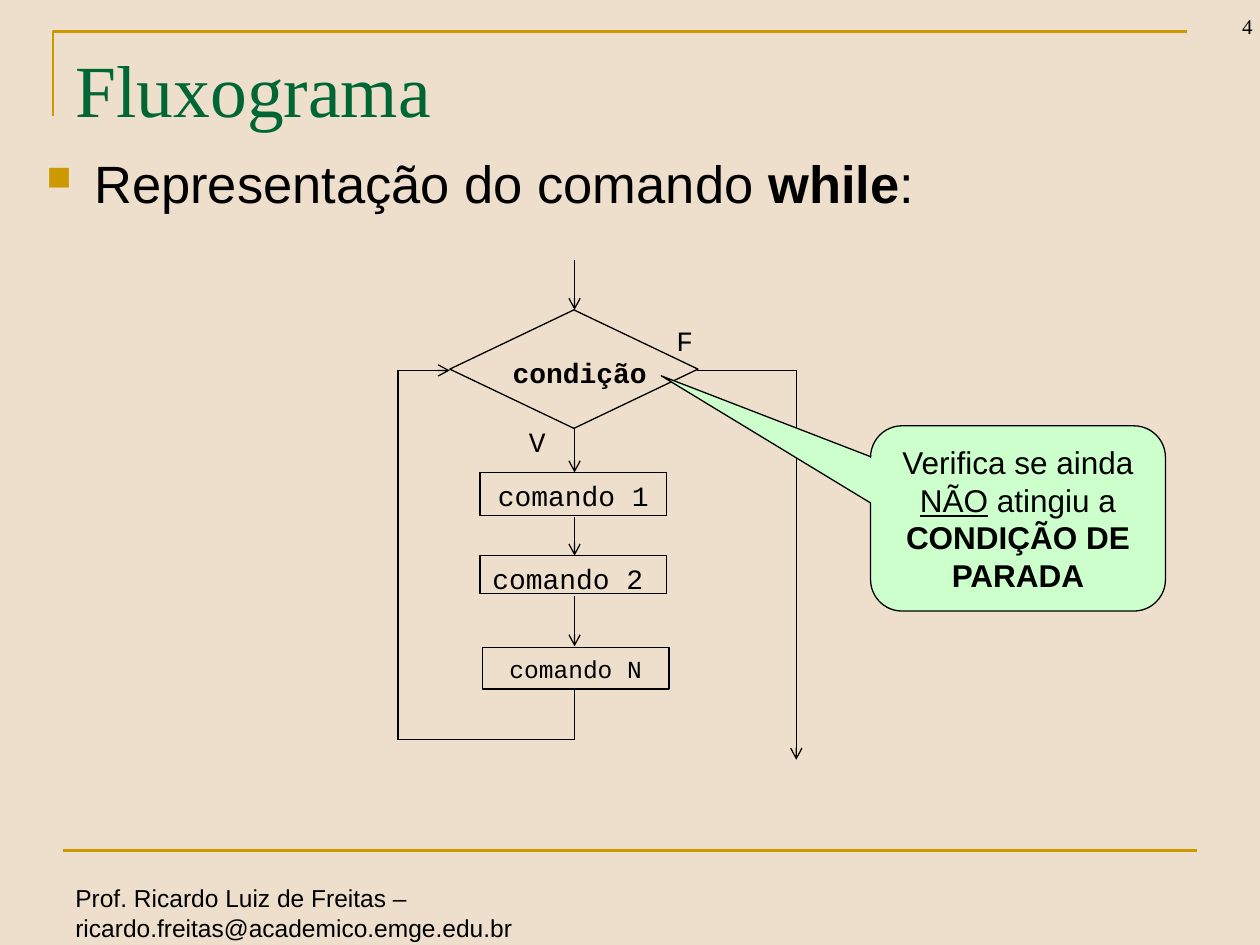
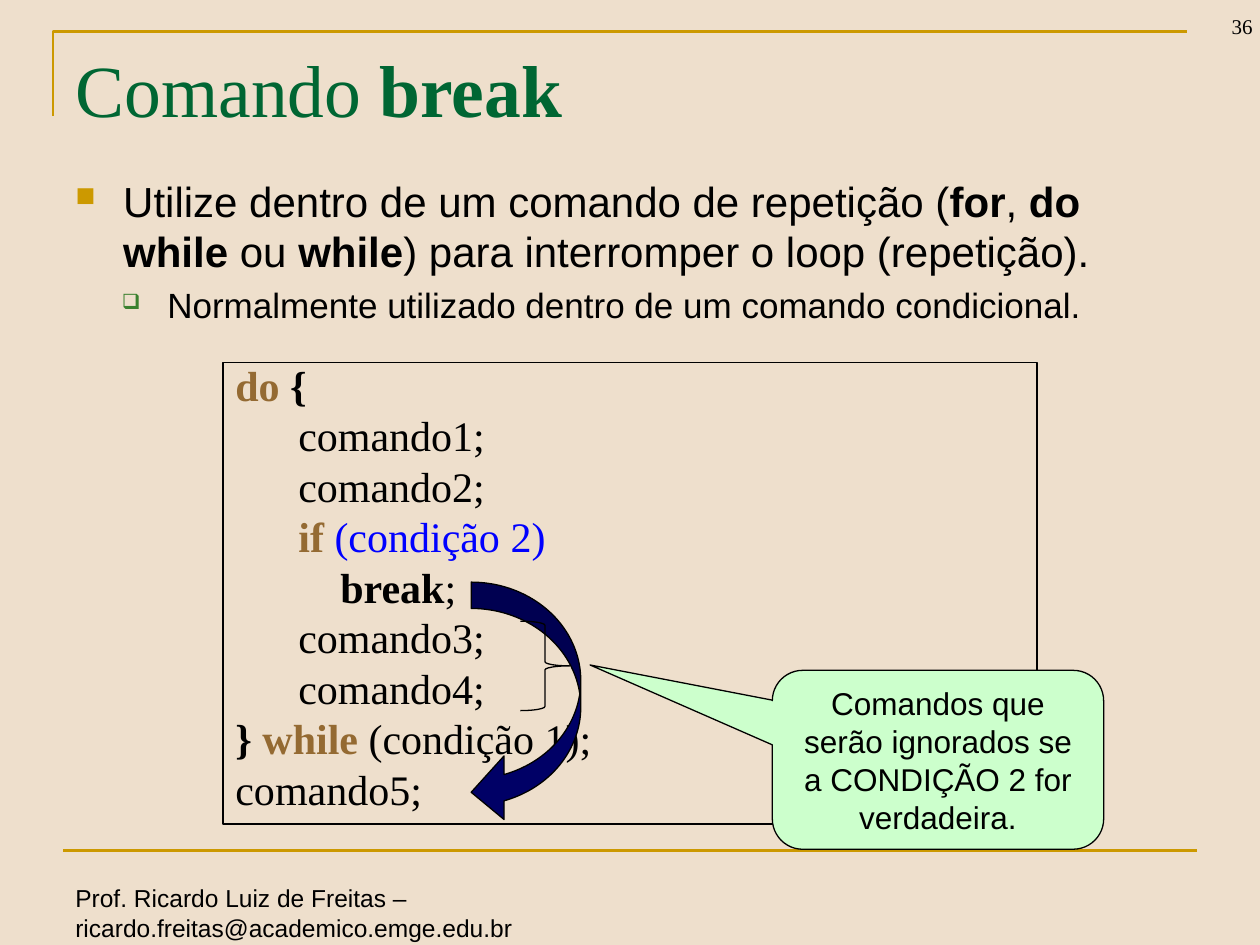
from lxml.etree import SubElement
from pptx import Presentation
from pptx.dml.color import RGBColor
from pptx.enum.shapes import MSO_CONNECTOR, MSO_SHAPE as Shape
from pptx.enum.text import MSO_ANCHOR as Anchor, PP_ALIGN as Align
from pptx.oxml.ns import qn
from pptx.util import Emu, Inches, Pt

SAND = RGBColor(0xEE, 0xDF, 0xCC)
GOLD = RGBColor(0xCC, 0x99, 0x00)
GREEN = RGBColor(0x00, 0x66, 0x33)
LEAF = RGBColor(0x3B, 0x81, 0x2F)
MINT = RGBColor(0xCC, 0xFF, 0xCC)
NAVY = RGBColor(0x00, 0x00, 0x66)
BLUE = RGBColor(0x00, 0x00, 0xFF)
BROWN = RGBColor(0x94, 0x6A, 0x32)
BLACK = RGBColor(0x00, 0x00, 0x00)
SANS, SERIF, MONO = "Arial", "Times New Roman", "Courier New"

deck = Presentation()
deck.slide_width, deck.slide_height = Inches(10), Inches(7.5)
deck.slide_master.background.fill.solid()
deck.slide_master.background.fill.fore_color.rgb = SAND
COLUMN = deck.slide_width / 100
ROW = deck.slide_height / 75


def grid(left, top, width, height):
    return [Emu(round(cells * unit)) for cells, unit in
            ((left, COLUMN), (top, ROW), (width, COLUMN), (height, ROW))]


def write(para, spans, face, size, color=BLACK):
    for text, bold, *tint in spans:
        span = para.add_run()
        span.text = text
        span.font.name, span.font.size, span.font.bold = face, Pt(size), bold
        span.font.color.rgb = tint[0] if tint else color


slides = [
    ("4", [("Fluxograma", False)], (2.7, 11.2, 90, 9), [
        (30, 0, "■", GOLD, 65, 0.38, 0.38,
         [("Representação do comando ", False), ("while", True), (":", False)]),
    ]),
    ("36", [("Comando ", False), ("break", True)], (5, 13.1, 90, 25.5), [
        (24, 0, "■", GOLD, 65, 0.38, 0.38,
         [("Utilize dentro de um comando de repetição (", False), ("for", True),
          (", ", False), ("do while", True), (" ou ", False), ("while", True),
          (") para interromper o loop (repetição).", False)]),
        (20, 1, "❑", LEAF, 60, 0.73, 0.36,
         [("Normalmente utilizado dentro de um comando condicional.", False)]),
    ]),
]

for number, heading, body_cells, bullets in slides:
    page = deck.slides.add_slide(deck.slide_layouts[5])
    left, top, right, bottom = grid(4.2, 2.5, 94.2, 9.2)
    builder = page.shapes.build_freeform(left, bottom)
    builder.add_line_segments([(left, top), (right, top)], close=False)
    corner = builder.convert_to_shape()
    corner.fill.background()
    corner.shadow.inherit = False
    rule = page.shapes.add_connector(MSO_CONNECTOR.STRAIGHT, *grid(5, 67.5, 95, 67.5))
    for line in (corner.line, rule.line):
        line.color.rgb, line.width = GOLD, Pt(1.5)

    footer = page.shapes.add_textbox(*grid(5, 69.6, 40, 5.4))
    footer.text_frame.word_wrap = True
    write(footer.text_frame.paragraphs[0],
          [("Prof. Ricardo Luiz de Freitas – ricardo.freitas@academico.emge.edu.br", False)],
          SANS, 14)

    title = page.shapes.title
    title.left, title.top, title.width, title.height = grid(5, 3, 90, 12.5)
    title.text_frame.vertical_anchor = Anchor.TOP
    title.text_frame.paragraphs[0].alignment = Align.LEFT
    write(title.text_frame.paragraphs[0], heading, SERIF, 42, GREEN)

    body = page.shapes.add_textbox(*grid(*body_cells)).text_frame
    body.word_wrap = True
    body.margin_top = Inches(0.08)
    for index, (size, level, mark, tint, share, margin, hang, spans) in enumerate(bullets):
        para = body.add_paragraph() if index else body.paragraphs[0]
        para.level = level
        if index:
            para.space_before = Pt(size * 0.23)
        props = para._p.get_or_add_pPr()
        props.set("marL", str(Inches(margin)))
        props.set("indent", str(-Inches(hang)))
        SubElement(SubElement(props, qn("a:buClr")), qn("a:srgbClr"), val=str(tint))
        SubElement(props, qn("a:buSzPct"), val=str(share * 1000))
        SubElement(props, qn("a:buChar"), char=mark)
        write(para, spans, SANS, size)

    counter = page.shapes.add_textbox(*grid(92.9, -1.4, 7.5, 5)).text_frame
    counter.word_wrap = True
    counter.vertical_anchor = Anchor.BOTTOM
    counter.paragraphs[0].alignment = Align.RIGHT
    write(counter.paragraphs[0], [(number, False)], SERIF, 12)

flow_page, break_page = deck.slides

AXIS, LOOP, EXIT = 45.6, 31.6, 63.2
DECISION, RETURN = 29.4, 58.7
flow_page.shapes.add_shape(Shape.FLOWCHART_DECISION, *grid(35.7, 24.6, 19.7, 9.4))

steps = [
    ("comando 1", 38.1, 37.5, 3.4, 16, Align.CENTER),
    ("comando 2", 38.1, 44.1, 3, 16, Align.LEFT),
    ("comando N", 38.3, 51.4, 3.3, 14, Align.CENTER),
]
labels = [("F", 52.7, 25.2, 3.4, False), ("V", 41, 33.2, 3.4, False),
          ("condição", 39.7, 27.7, 13.4, True)]
flow_texts = []
for text, left, top, height, size, align in steps:
    box = flow_page.shapes.add_shape(Shape.RECTANGLE, *grid(left, top, 14.8, height))
    flow_texts.append((box, text, size, align, False))
for text, left, top, width, bold in labels:
    box = flow_page.shapes.add_textbox(*grid(left, top, width, 3.5))
    flow_texts.append((box, text, 16, Align.LEFT, bold))
for box, text, size, align, bold in flow_texts:
    frame = box.text_frame
    frame.word_wrap = True
    frame.vertical_anchor = Anchor.TOP
    frame.margin_top = Inches(0.08)
    para = frame.paragraphs[0]
    para.alignment, para.line_spacing = align, 0.9
    write(para, [(text, bold)], MONO, size)

flow_lines = [
    (AXIS, 20.6, AXIS, 24.6, True),
    (AXIS, 34, AXIS, 37.5, True),
    (AXIS, 41, AXIS, 44.1, True),
    (AXIS, 47.3, AXIS, 51.3, True),
    (AXIS, 54.8, AXIS, RETURN, False),
    (AXIS, RETURN, LOOP, RETURN, False),
    (LOOP, RETURN, LOOP, DECISION, False),
    (LOOP, DECISION, 35.7, DECISION, True),
    (55.3, DECISION, EXIT, DECISION, False),
    (EXIT, DECISION, EXIT, 60.3, True),
]
for *ends, arrow in flow_lines:
    link = flow_page.shapes.add_connector(MSO_CONNECTOR.STRAIGHT, *grid(*ends))
    link.line.color.rgb, link.line.width = BLACK, Pt(0.75)
    if arrow:
        SubElement(link.line._get_or_add_ln(), qn("a:tailEnd"), type="arrow")

code_box = break_page.shapes.add_shape(Shape.RECTANGLE, *grid(17.7, 28.8, 64.6, 36.6))
code_box.text_frame.vertical_anchor = Anchor.TOP
code = [
    [("do ", True, BROWN), ("{", True)],
    [("      comando1;", False)],
    [("      comando2;", False)],
    [("      ", False), ("if ", True, BROWN), ("(condição 2)", False, BLUE)],
    [("          ", False), ("break", True), (";", False)],
    [("      comando3;", False)],
    [("      comando4;", False)],
    [("} ", True), ("while ", True, BROWN), ("(condição 1);", False)],
    [("comando5;", False)],
]
for index, spans in enumerate(code):
    para = code_box.text_frame.add_paragraph() if index else code_box.text_frame.paragraphs[0]
    para.alignment, para.line_spacing = Align.LEFT, 0.8
    if index:
        para.space_before = Pt(5.8)
    write(para, spans, SERIF, 24)

jump = break_page.shapes.add_shape(Shape.CURVED_RIGHT_ARROW, *grid(37.4, 46.2, 8.7, 19.2))
jump._element.spPr.xfrm.set("flipH", "1")
brace = break_page.shapes.add_shape(Shape.RIGHT_BRACE, *grid(41.3, 49.3, 3.9, 7.1))
callouts = [
    (flow_page, (69.1, 33.8, 23.4, 14.7), (-1.21, -0.77, 0.17),
     [("Verifica se ainda ", False), ("NÃO", False), (" atingiu a ", False),
      ("CONDIÇÃO DE PARADA", True)]),
    (break_page, (61.3, 53.2, 26.3, 14.2), (-1.05, -0.53, 0.17),
     [("Comandos que serão ignorados se a CONDIÇÃO 2 for verdadeira.", False)]),
]
fills = {jump.shape_id: NAVY}
for page, cells, adjustments, spans in callouts:
    callout = page.shapes.add_shape(Shape.ROUNDED_RECTANGULAR_CALLOUT, *grid(*cells))
    callout.text_frame.vertical_anchor = Anchor.MIDDLE
    callout.text_frame.paragraphs[0].alignment = Align.CENTER
    write(callout.text_frame.paragraphs[0], spans, SANS, 18)
    for span in callout.text_frame.paragraphs[0].runs:
        span.font.underline = span.text == "NÃO"
    for index, value in enumerate(adjustments):
        callout.adjustments[index] = value
    callout.fill.solid()
    callout.fill.fore_color.rgb = MINT
    callout.line.color.rgb, callout.line.width = BLACK, Pt(0.75)
    callout.shadow.inherit = False

for index, value in enumerate((0.24, 0.58, 0.3)):
    jump.adjustments[index] = value
jump.fill.solid()
jump.fill.fore_color.rgb = NAVY
outlined = [code_box, brace, flow_page.shapes[6]]
outlined += [box for box, text, *style in flow_texts[:len(steps)]]
for shape in outlined:
    shape.fill.background()
for shape in outlined + [jump]:
    shape.line.color.rgb, shape.line.width = BLACK, Pt(0.75)
    shape.shadow.inherit = False

for page in deck.slides:
    for link in page.element.iter(qn("p:cxnSp")):
        SubElement(link.spPr, qn("a:effectLst"))

deck.save("out.pptx")
